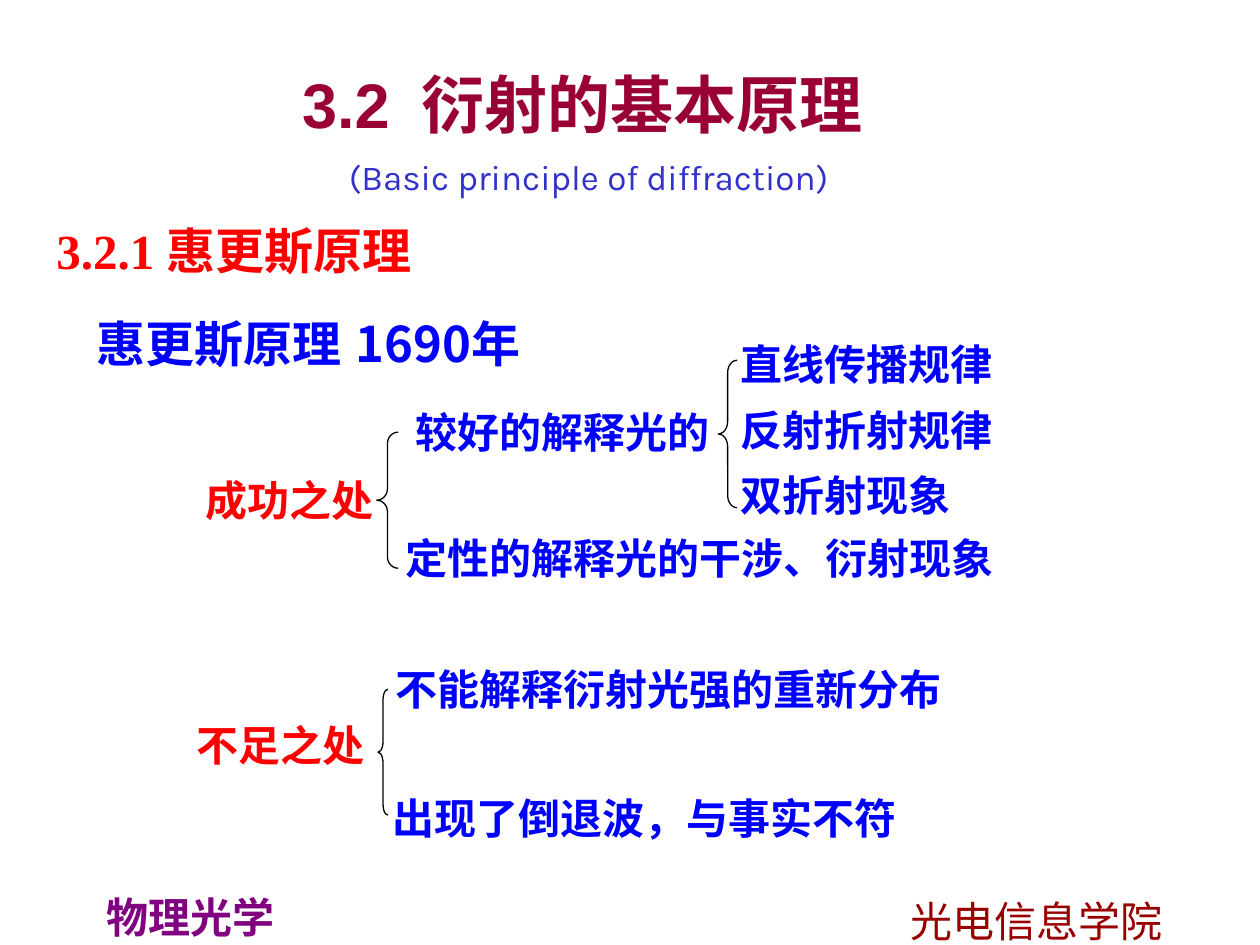
from pptx import Presentation
from pptx.dml.color import RGBColor
from pptx.enum.shapes import MSO_SHAPE
from pptx.enum.text import MSO_ANCHOR, PP_ALIGN
from pptx.oxml.ns import qn
from pptx.util import Inches, Pt
from lxml.etree import SubElement

BLACK = RGBColor(0x00, 0x00, 0x00)
RED = RGBColor(0xFF, 0x00, 0x00)
BLUE = RGBColor(0x00, 0x00, 0xFF)
PURPLE = RGBColor(0x80, 0x00, 0x80)
MAROON = RGBColor(0x99, 0x00, 0x00)
CRIMSON = RGBColor(0x99, 0x00, 0x33)
INDIGO = RGBColor(0x33, 0x33, 0xCC)

SANS, SERIF = "Noto Sans CJK SC", "Times New Roman"

# Grid of 100 columns by 75 rows
WIDTH, HEIGHT = Inches(10), Inches(7.5)
COL, ROW = WIDTH / 100, HEIGHT / 75
LINE_ROWS = 5    # height of one 24 pt line box
GLYPH_COLS = 10 / 3    # width of one 24 pt Chinese character


def to_emu(box):
    left, top, width, height = box
    return int(left * COL), int(top * ROW), int(width * COL), int(height * ROW)


def add_text(slide, box, pieces, color, font=SANS, bold=True):
    """Write one line made of (text, size) pieces and return its frame."""
    frame = slide.shapes.add_textbox(*to_emu(box)).text_frame
    frame.word_wrap = True
    for text, size in pieces:
        run = frame.paragraphs[0].add_run()
        run.text = text
        run.font.size, run.font.bold = Pt(size), bold
        run.font.name, run.font.color.rgb = font, color
        SubElement(run.font._element, qn("a:ea"), typeface=SANS)
    return frame


def add_line(slide, left, top, text, color, font=SANS):
    """Write a 24 pt line in a box as wide as its characters need."""
    box = (left, top, len(text) * GLYPH_COLS + 2.5, LINE_ROWS)
    return add_text(slide, box, [(text, 24)], color, font)


def add_brace(slide, box):
    brace = slide.shapes.add_shape(MSO_SHAPE.LEFT_BRACE, *to_emu(box))
    brace.adjustments[0] = box[3] / 12 / box[2]
    brace.shadow.inherit = False
    brace.fill.background()
    brace.line.color.rgb = BLACK
    brace.line.width = Pt(0.75)


def add_header(slide, box):
    left, top, width, height = box
    # Chapter title, with a widened gap after its number
    title = add_text(slide, (left, top, width, height * 0.72),
                     [("3.2", 36), (" ", 32), ("衍射的基本原理", 36)], CRIMSON, "Arial")
    title.vertical_anchor = MSO_ANCHOR.MIDDLE
    title.paragraphs[0].alignment = PP_ALIGN.CENTER
    gap = title.paragraphs[0].runs[1]
    gap.font._element.set("spc", "900")
    # English subtitle
    subtitle = add_text(slide, (left + 7.4, top + height * 0.65, 40.1, height * 0.35),
                        [("(Basic principle of diffraction)", 20)], INDIGO, "Karla", False)
    subtitle.word_wrap = False


def add_section(slide, box):
    left, top, width, height = box
    add_text(slide, (left, top, width, height * 0.43),
             [("3.2.1 惠更斯原理", 28)], RED, SERIF)
    add_text(slide, (left + 3.2, top + height * 0.47, width - 3.2, height * 0.53),
             [("惠更斯原理", 28), (" ", 36), ("1690年", 28)], BLUE)


def add_branch(slide, box, label, color, label_row, brace, items):
    """Place a label, a brace and the items that the brace joins."""
    left, top, width, height = box
    add_line(slide, left, top + label_row, label, color)
    brace_col, brace_row, brace_width = brace
    add_brace(slide, (left + brace_col, top + brace_row, brace_width, height))
    return [add_line(slide, left + col, top + row, text, BLUE, font)
            for text, col, row, font in items]


def add_footer(slide, box):
    left, top, width, height = box
    add_text(slide, (left, top, 16.5, height), [("物理光学", 24)], PURPLE)
    add_text(slide, (left + width - 23.6, top + 0.3, 23.6, height),
             [("光电信息学院", 24)], MAROON, SERIF, False)


def main():
    prs = Presentation()
    prs.slide_width, prs.slide_height = WIDTH, HEIGHT
    slide = prs.slides.add_slide(prs.slide_layouts[6])

    add_footer(slide, (7.5, 70.3, 87.4, LINE_ROWS))
    add_section(slide, (3.5, 17, 48, 13.3))
    add_header(slide, (19.3, 3.6, 53.8, 12.75))

    # Successes, with the well explained laws as a nested branch
    add_branch(slide, (15.3, 31.8, 66.7, 10.8), "成功之处", RED, 5.4, (14.6, 2.5, 1.7),
               [("定性的解释光的干涉、衍射现象", 15.9, 10, SANS)])
    laws = ["直线传播规律", "反射折射规律", "双折射现象"]
    add_branch(slide, (32, 26.4, 50, 11.7), "较好的解释光的", BLUE, 5.4, (25, 2.2, 1.5),
               [(law, 25.8, 5.2 * i, SANS) for i, law in enumerate(laws)])

    # Shortcomings
    shortcomings = add_branch(
        slide, (14.6, 52.2, 65.8, 10), "不足之处", RED, 4.4, (15.4, 2.5, 0.8),
        [("不能解释衍射光强的重新分布", 15.8, 0, SERIF),
         ("出现了倒退波，与事实不符", 15.6, 9.4, SANS)])
    shortcomings[-1].paragraphs[0].line_spacing = 1.2

    prs.save("out.pptx")


if __name__ == "__main__":
    main()
